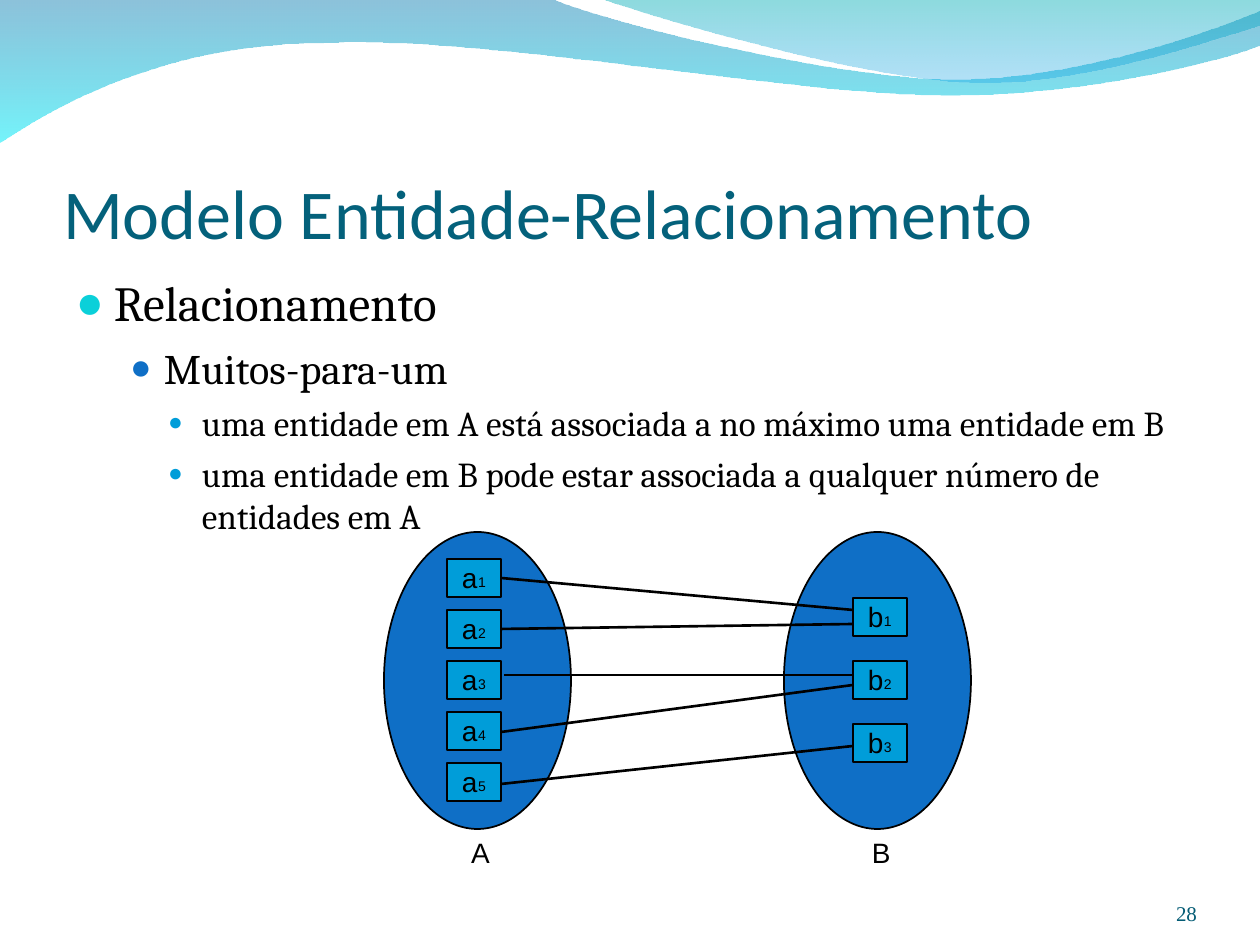
"""Builds a slide on many-to-one relationships in the entity-relationship model."""
import lxml.etree
import pptx
import pptx.dml.color
import pptx.enum.shapes
import pptx.enum.text
import pptx.oxml.ns
import pptx.util


class Theme:
    title, number, text, line = "04617B", "045C75", "000000", "000000"
    bullets = ["0BD0D9", "0F6FC6", "009DD9"]
    oval, box = "0F6FC6", "009DD9"
    waves = [[("0079AF", 45), ("00EBF8", 55)], [("00ADB6", 45), ("009BE5", 30)]]
    title_size, label_size, sub_size, number_size = 40, 16, 8, 12
    body_sizes = [28, 24, 20]
    heading, body, label, digits = "Calibri", "Cambria", "Arial", "Times New Roman"


PX = 914400 / 126
RGB = pptx.dml.color.RGBColor.from_string
SHAPE = pptx.enum.shapes.MSO_SHAPE
ALIGN = pptx.enum.text.PP_ALIGN
ANCHOR = pptx.enum.text.MSO_ANCHOR
qn = pptx.oxml.ns.qn


def emu(*lengths):
    return [round(v * PX) for v in lengths]


def write(sp, text, at=None, size=Theme.label_size, font=Theme.label, color=Theme.text,
          align=ALIGN.LEFT, anchor=ANCHOR.TOP, inset=(0, 0, 0, 0), wrap=False, p=None):
    if at:
        sp.left, sp.top, sp.width, sp.height = emu(*at)
    tf = sp.text_frame
    tf.auto_size = pptx.enum.text.MSO_AUTO_SIZE.NONE
    tf.word_wrap, tf.vertical_anchor = wrap, anchor
    tf.margin_left, tf.margin_top, tf.margin_right, tf.margin_bottom = emu(*inset)
    p = p or tf.paragraphs[0]
    p.alignment = align
    r = p.add_run()
    r.text = text
    r.font.size, r.font.name = pptx.util.Pt(size), font
    r.font.color.rgb = RGB(color)


prs = pptx.Presentation()
prs.slide_width, prs.slide_height = emu(1260, 945)
s = prs.slides.add_slide(prs.slide_layouts[1])
title, body = s.placeholders

waves = [
    [(0, 0), [(554, 0)], [(600, 21), (837, 79), (955, 79)],
     [(1075, 79), (1207, 33), (1260, 11)], [(1260, 45)],
     [(1239, 55), (1096, 96), (940, 95)], [(784, 94), (481, 35), (324, 43)],
     [(163, 44), (58, 105), (0, 142)]],
    [(604, 0), [(641, 14), (859, 78), (969, 82)],
     [(1079, 87), (1211, 40), (1260, 26)], [(1260, 0)]],
]
for (start, *segments), stops in zip(waves, Theme.waves):
    points = [start]
    for seg in segments:
        if len(seg) == 1:
            points += seg
            continue
        a, (b, c, d) = points[-1], seg
        for t in [i / 24 for i in range(1, 25)]:
            u = 1 - t
            points.append(tuple(
                u**3 * a[k] + 3 * u * u * t * b[k] + 3 * u * t * t * c[k] + t**3 * d[k]
                for k in (0, 1)))
    points = [emu(*point) for point in points]
    builder = s.shapes.build_freeform(*points[0])
    builder.add_line_segments(points[1:], close=True)
    sp = builder.convert_to_shape()
    sp.shadow.inherit = False
    sp.line.fill.background()
    sp.fill.gradient()
    sp.fill.gradient_angle = 270
    for stop, position, (color, _) in zip(sp.fill.gradient_stops, (0, 1), stops):
        stop.position, stop.color.rgb = position, RGB(color)
    for clr, (_, alpha) in zip(sp._element.spPr.iter(qn("a:srgbClr")), stops):
        lxml.etree.SubElement(clr, qn("a:alpha"), val=str(alpha * 1000))

write(title, "Modelo Entidade-Relacionamento", at=(63, 97, 1134, 157), size=Theme.title_size,
      font=Theme.heading, color=Theme.title, anchor=ANCHOR.BOTTOM, inset=(0, 6, 0, 0), wrap=True)

items = [
    (0, "Relacionamento"),
    (1, "Muitos-para-um"),
    (2, "uma entidade em A está associada a no máximo uma entidade em B"),
    (2, "uma entidade em B pode estar associada a qualquer número de entidades em A"),
]
levels = [(38, 38, 0, 95), (88, 34, 6, 85), (126, 34, 5, 70)]
for i, (level, text) in enumerate(items):
    p = body.text_frame.add_paragraph() if i else body.text_frame.paragraphs[0]
    p.level = level
    margin, hang, before, percent = levels[level]
    pPr = p._p.get_or_add_pPr()
    for name, value in zip(("marL", "indent"), emu(margin, -hang)):
        pPr.set(name, str(value))
    clr = lxml.etree.SubElement(pPr, qn("a:buClr"))
    lxml.etree.SubElement(clr, qn("a:srgbClr"), val=Theme.bullets[level])
    lxml.etree.SubElement(pPr, qn("a:buSzPct"), val=str(percent * 1000))
    lxml.etree.SubElement(pPr, qn("a:buChar"), char="●")
    p.space_before = pptx.util.Pt(before)
    write(body, text, at=(63, 267, 1134, 605), size=Theme.body_sizes[level], font=Theme.body,
          inset=(13, 6, 13, 6), wrap=True, p=p)

write(s.shapes.add_textbox(0, 0, 0, 0), "28", at=(1092, 876, 105, 50), size=Theme.number_size,
      font=Theme.digits, color=Theme.number, align=ALIGN.RIGHT, anchor=ANCHOR.BOTTOM, wrap=True)

sets = [("A", 384, 471, 447, 559, 51, 5), ("B", 784, 872, 853, 598, 63, 3)]
for name, oval_x, name_x, box_x, box_y, pitch, count in sets:
    tops = [box_y + pitch * i for i in range(count)]
    shapes = [(SHAPE.OVAL, Theme.oval, (oval_x, 532, 187, 297))]
    shapes += [(SHAPE.RECTANGLE, Theme.box, (box_x, y, 54, 38)) for y in tops]
    for kind, color, at in shapes:
        sp = s.shapes.add_shape(kind, *emu(*at))
        sp.shadow.inherit = False
        sp.fill.solid()
        sp.fill.fore_color.rgb = RGB(color)
        sp.line.color.rgb = RGB(Theme.line)
        sp.line.width = pptx.util.Pt(1)
    labels = [(name, (name_x, 835, 19, 34), Theme.label_size)]
    for i, y in enumerate(tops, 1):
        labels.append((name.lower(), (box_x + 15, y + 2, 15, 34), Theme.label_size))
        labels.append((str(i), (box_x + 31, y + 15, 8, 16), Theme.sub_size))
    for text, at, size in labels:
        write(s.shapes.add_textbox(0, 0, 0, 0), text, at=at, size=size)

links = [(610, 501, 578), (624, 501, 629), (675, 504, 675), (685, 501, 732), (746, 501, 784)]
for from_y, to_x, to_y in links:
    link = s.shapes.add_connector(pptx.enum.shapes.MSO_CONNECTOR.STRAIGHT,
                                  *emu(853, from_y, to_x, to_y))
    link.line.color.rgb = RGB(Theme.line)
    link.line.width = pptx.util.Pt(1.5)
    lxml.etree.SubElement(link._element.spPr, qn("a:effectLst"))

prs.save("out.pptx")
